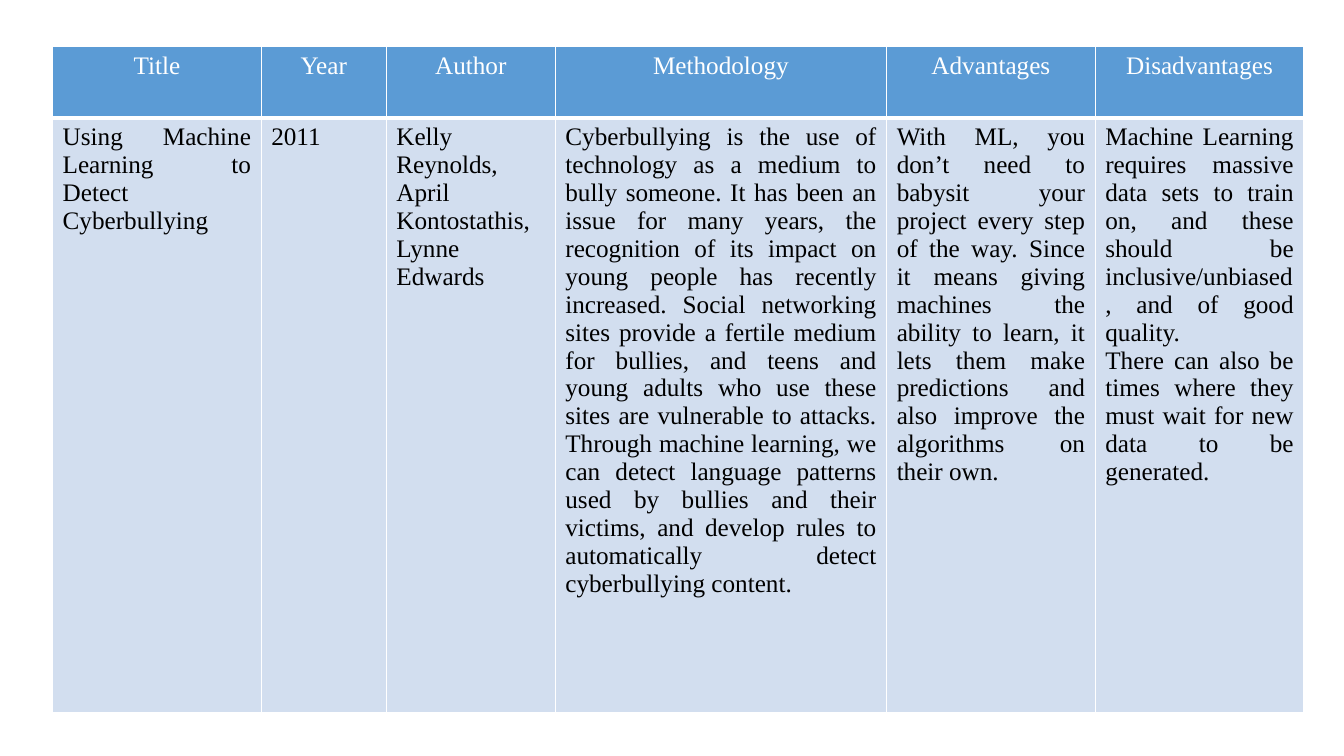
"""Build the literature survey slide with its single table."""
from dataclasses import dataclass

from lxml.etree import SubElement
from pptx import Presentation
from pptx.dml.color import RGBColor
from pptx.enum.text import PP_ALIGN as Align
from pptx.oxml.ns import qn
from pptx.slide import Slide
from pptx.table import _Cell as Cell
from pptx.util import Pt

COLORS = {"header": "5B9BD5", "body": "D2DEEF", "white": "FFFFFF", "black": "000000"}
FONT_FORMAT = {"name": "Times New Roman", "size": Pt(18), "bold": False}
TABLE_LEFT, TABLE_TOP = 37.6, 33.3


@dataclass(frozen=True)
class Column:
    """A survey column: its heading, width and the entry below."""

    heading: str
    width: float
    entry: str


@dataclass(frozen=True)
class RowStyle:
    """The look shared by all cells of a row."""

    height: float
    fill: str
    text: str
    alignment: Align
    bottom_border: float


HEADER = RowStyle(51.2, "header", "white", Align.CENTER, 3)
BODY = RowStyle(424.8, "body", "black", Align.JUSTIFY, 1)

COLUMNS = [
    Column("Title", 149, "Using Machine Learning to Detect Cyberbullying"),
    Column("Year", 89.4, "2011"),
    Column("Author", 120.7, "Kelly Reynolds, April Kontostathis, Lynne Edwards"),
    Column(
        "Methodology",
        236.7,
        "Cyberbullying is the use of technology as a medium to bully someone. "
        "It has been an issue for many years, the recognition of its impact on "
        "young people has recently increased. Social networking sites provide a "
        "fertile medium for bullies, and teens and young adults who use these "
        "sites are vulnerable to attacks. Through machine learning, we can detect "
        "language patterns used by bullies and their victims, and develop rules "
        "to automatically detect cyberbullying content.",
    ),
    Column(
        "Advantages",
        149,
        "With ML, you don’t need to babysit your project every step of the way. "
        "Since it means giving machines the ability to learn, it lets them make "
        "predictions and also improve the algorithms on their own.",
    ),
    Column(
        "Disadvantages",
        149,
        "Machine Learning requires massive data sets to train on, and these should "
        "be inclusive/unbiased, and of good quality.\n"
        "There can also be times where they must wait for new data to be generated.",
    ),
]


def add_borders(cell: Cell, bottom_width: float) -> None:
    """Draw white borders around a cell."""
    properties = cell._tc.get_or_add_tcPr()
    for side, width in {"lnL": 1, "lnR": 1, "lnT": 1, "lnB": bottom_width}.items():
        line = SubElement(properties, qn(f"a:{side}"), w=str(Pt(width)))
        fill = SubElement(line, qn("a:solidFill"))
        SubElement(fill, qn("a:srgbClr"), val=COLORS["white"])


def write_cell(cell: Cell, text: str, style: RowStyle) -> None:
    """Fill a cell with text in the style of its row."""
    add_borders(cell, style.bottom_border)
    cell.fill.solid()
    cell.fill.fore_color.rgb = RGBColor.from_string(COLORS[style.fill])
    cell.text = text
    for paragraph in cell.text_frame.paragraphs:
        paragraph.alignment = style.alignment
        for run in paragraph.runs:
            for attribute, value in FONT_FORMAT.items():
                setattr(run.font, attribute, value)
            run.font.color.rgb = RGBColor.from_string(COLORS[style.text])


def add_survey_table(slide: Slide) -> None:
    """Add the survey table, one heading and one entry per column."""
    styles = [HEADER, BODY]
    width = sum(column.width for column in COLUMNS)
    height = sum(style.height for style in styles)
    table = slide.shapes.add_table(
        len(styles), len(COLUMNS), Pt(TABLE_LEFT), Pt(TABLE_TOP), Pt(width), Pt(height)
    ).table
    for row, style in zip(table.rows, styles):
        row.height = Pt(style.height)
    for index, column in enumerate(COLUMNS):
        table.columns[index].width = Pt(column.width)
        for row_index, text in enumerate([column.heading, column.entry]):
            write_cell(table.cell(row_index, index), text, styles[row_index])


def main() -> None:
    """Create and save the presentation."""
    presentation = Presentation()
    presentation.slide_width, presentation.slide_height = Pt(960), Pt(540)
    slide = presentation.slides.add_slide(presentation.slide_layouts[6])
    add_survey_table(slide)
    presentation.save("out.pptx")


if __name__ == "__main__":
    main()
